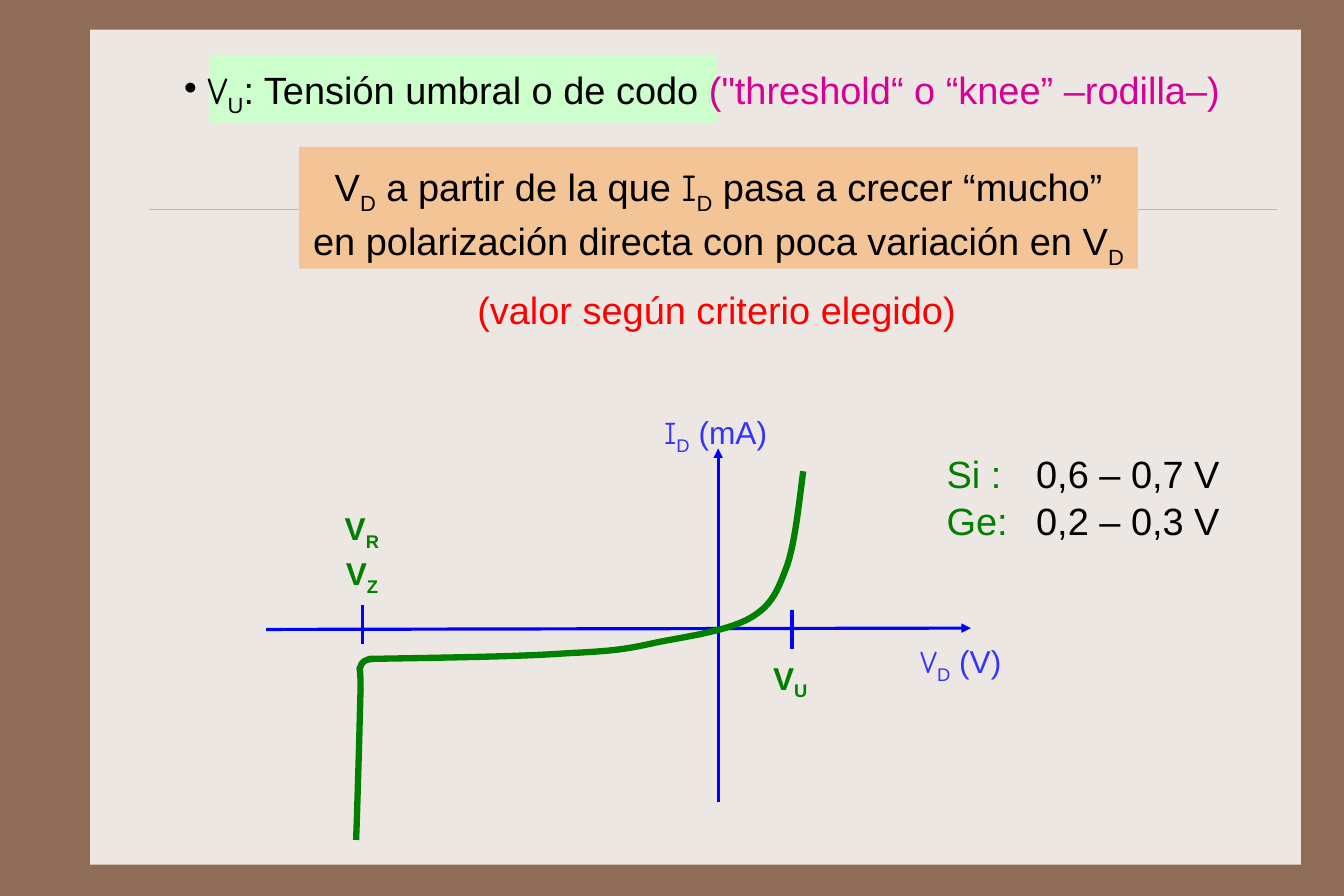
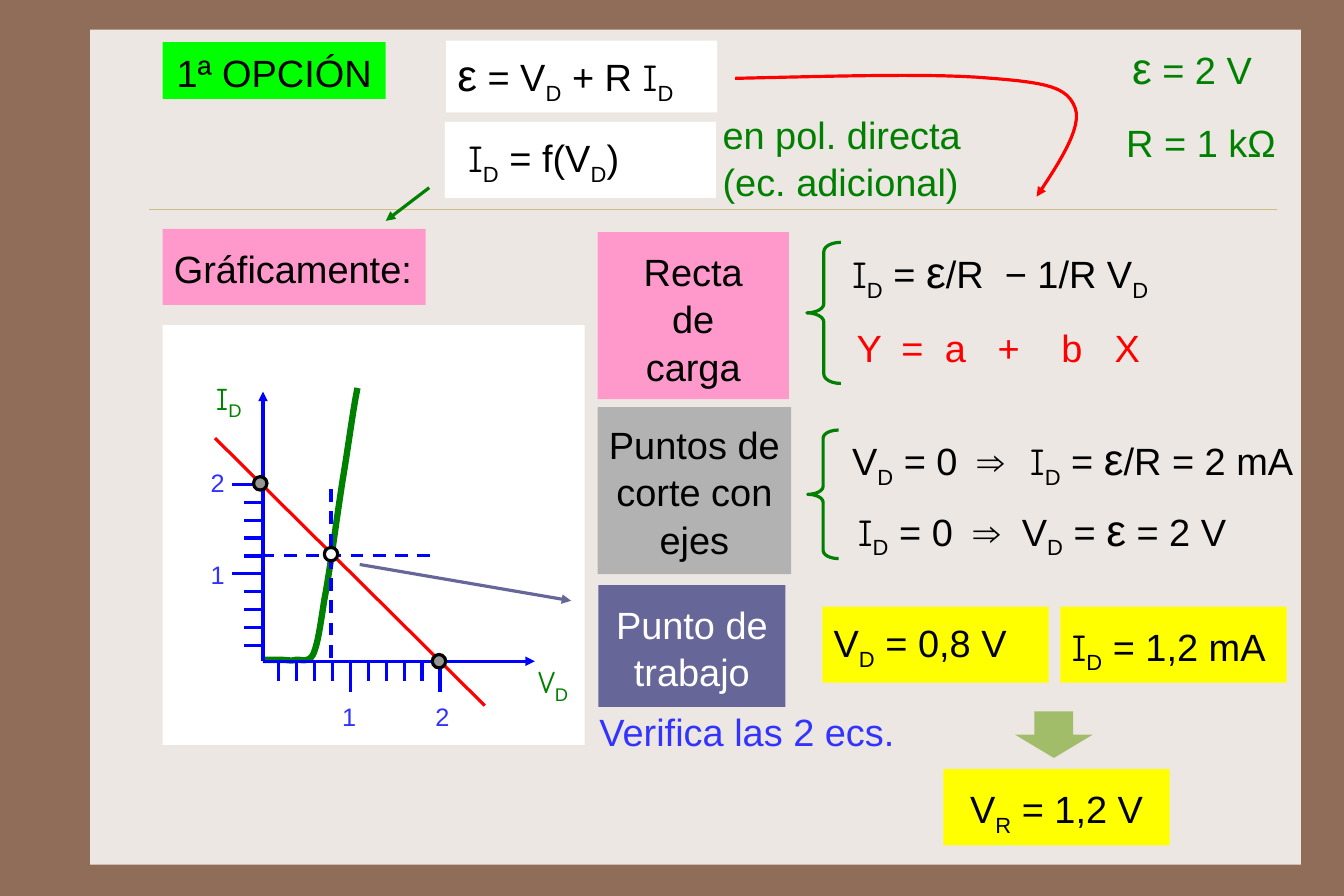
"""Build two slides on the diode curve and its load line."""

from itertools import groupby

from lxml.etree import SubElement
from pptx import Presentation
from pptx.dml.color import RGBColor
from pptx.enum.dml import MSO_LINE
from pptx.enum.shapes import MSO_CONNECTOR, MSO_SHAPE
from pptx.enum.text import MSO_ANCHOR, PP_ALIGN
from pptx.oxml.ns import qn
from pptx.util import Cm, Pt

BROWN = RGBColor(0x90, 0x6D, 0x58)
CREAM = RGBColor(0xED, 0xE7, 0xE3)
SAND = RGBColor(0xCB, 0xBD, 0x83)
MINT = RGBColor(0xCC, 0xFF, 0xCC)
PEACH = RGBColor(0xF3, 0xC4, 0x95)
MAGENTA = RGBColor(0xD6, 0x00, 0x93)
PINK = RGBColor(0xFF, 0x99, 0xCC)
RED = RGBColor(0xFF, 0x00, 0x00)
GREEN = RGBColor(0x00, 0x80, 0x00)
LIME = RGBColor(0x00, 0xFF, 0x00)
OLIVE = RGBColor(0xA1, 0xBD, 0x69)
BLUE = RGBColor(0x00, 0x00, 0xFF)
LABEL_BLUE = RGBColor(0x33, 0x33, 0xFF)
SLATE = RGBColor(0x66, 0x66, 0x99)
YELLOW = RGBColor(0xFF, 0xFF, 0x00)
SILVER = RGBColor(0xB2, 0xB2, 0xB2)
GREY = RGBColor(0x96, 0x96, 0x96)
BLACK = RGBColor(0x00, 0x00, 0x00)
WHITE = RGBColor(0xFF, 0xFF, 0xFF)

TEXT_FONT = "Arial"
SYMBOL_FONT = "Comic Neue"
MARKS = {"_": "subscript", "~": "symbol"}
INSETS = (0.25, 0.33, 0.25, 0.33)
LINE_SPACING = 1.04
CURVE_STEPS = 12


def styled_characters(text):
    """Yield (style, character); _ lowers the next character, ~ sets it in the symbol font."""
    style = "plain"
    for character in text:
        if character in MARKS:
            style = MARKS[character]
        else:
            yield ("epsilon" if character == "ε" else style), character
            style = "plain"


def add_runs(paragraph, text, colour=None):
    """Add the marked text as runs, with a colour where it differs from the paragraph."""
    for style, pairs in groupby(styled_characters(text), key=lambda pair: pair[0]):
        run = paragraph.add_run()
        run.text = "".join(character for _, character in pairs)
        if colour is not None:
            run.font.color.rgb = colour
        if style == "subscript":
            run._r.get_or_add_rPr().set("baseline", "-25000")
        elif style == "symbol":
            run.font.name = SYMBOL_FONT
        elif style == "epsilon":
            run.font.size = Pt(28)


def add_bullet(paragraph, indent):
    """Give the paragraph a round bullet with a hanging indent."""
    properties = paragraph._p.get_or_add_pPr()
    properties.set("marL", str(Cm(indent)))
    properties.set("indent", str(-Cm(indent)))
    SubElement(properties, qn("a:buChar")).set("char", "•")


def add_tabs(paragraph, positions):
    """Set left tab stops at the given positions."""
    tab_list = SubElement(paragraph._p.get_or_add_pPr(), qn("a:tabLst"))
    for position in positions:
        tab = SubElement(tab_list, qn("a:tab"))
        tab.set("pos", str(Cm(position)))
        tab.set("algn", "l")


def add_preset(slide, kind, box, fill=None, line=None):
    """Add a preset shape without shadow."""
    shape = slide.shapes.add_shape(kind, *map(Cm, box))
    shape.shadow.inherit = False
    if fill is None:
        shape.fill.background()
    else:
        shape.fill.solid()
        shape.fill.fore_color.rgb = fill
    if line is None:
        shape.line.fill.background()
    else:
        shape.line.color.rgb = line
        shape.line.width = Pt(2)
    return shape


def add_text(slide, box, text, colours=(BLACK,), size=24, fill=None, align=PP_ALIGN.LEFT,
             anchor=MSO_ANCHOR.TOP, bold=False, insets=INSETS, tabs=(), bullet=None):
    """Add a text box or filled box; lines are paragraphs and | moves to the next colour."""
    if fill is None:
        shape = slide.shapes.add_textbox(*map(Cm, box))
    else:
        shape = add_preset(slide, MSO_SHAPE.RECTANGLE, box, fill)
    frame = shape.text_frame
    frame.word_wrap = True
    frame.vertical_anchor = anchor
    (frame.margin_left, frame.margin_top,
     frame.margin_right, frame.margin_bottom) = map(Cm, insets)
    for index, line in enumerate(text.split("\n")):
        paragraph = frame.add_paragraph() if index else frame.paragraphs[0]
        paragraph.alignment = align
        paragraph.line_spacing = LINE_SPACING
        if bullet:
            add_bullet(paragraph, bullet)
        if tabs:
            add_tabs(paragraph, tabs)
        paragraph.font.name = TEXT_FONT
        paragraph.font.size = Pt(size)
        paragraph.font.bold = bold
        paragraph.font.color.rgb = colours[0]
        for part, colour in zip(line.split("|"), (None, *colours[1:])):
            add_runs(paragraph, part, colour)


def add_arrowhead(shape):
    """Put a triangle at the end of a line."""
    SubElement(shape.line._get_or_add_ln(), qn("a:tailEnd")).set("type", "triangle")


def add_line(slide, start, end, colour=BLUE, width=2, arrow=False, dashed=False):
    """Add a straight connector without shadow."""
    line = slide.shapes.add_connector(MSO_CONNECTOR.STRAIGHT, *map(Cm, (*start, *end)))
    line.line.color.rgb = colour
    line.line.width = Pt(width)
    if dashed:
        line.line.dash_style = MSO_LINE.DASH
    if arrow:
        add_arrowhead(line)
    SubElement(line._element.spPr, qn("a:effectLst"))


def bezier_point(points, t):
    """Return the point at t of a cubic Bezier curve, in slide units."""
    weights = ((1 - t) ** 3, 3 * t * (1 - t) ** 2, 3 * t ** 2 * (1 - t), t ** 3)
    return tuple(Cm(sum(weight * point[axis] for weight, point in zip(weights, points)))
                 for axis in (0, 1))


def add_curve(slide, points, colour=GREEN, width=4, arrow=False):
    """Draw joined cubic Bezier curves; each takes three points after the first."""
    outline = [bezier_point(points[first:first + 4], step / CURVE_STEPS)
               for first in range(0, len(points) - 1, 3)
               for step in range(1, CURVE_STEPS + 1)]
    builder = slide.shapes.build_freeform(*map(Cm, points[0]))
    builder.add_line_segments(outline, close=False)
    curve = builder.convert_to_shape()
    curve.shadow.inherit = False
    curve.fill.background()
    curve.line.color.rgb = colour
    curve.line.width = Pt(width)
    if arrow:
        add_arrowhead(curve)


def add_label(slide, left, top, text, colour=GREEN, width=1.3, **options):
    """Add a small axis label."""
    add_text(slide, (left, top, width, 1.5), text, (colour,), 20, **options)


def add_dot(slide, centre_x, centre_y, fill):
    """Mark a point of the graph."""
    add_preset(slide, MSO_SHAPE.OVAL, (centre_x - 0.15, centre_y - 0.15, 0.3, 0.3), fill, BLACK)


def add_brace(slide, box, depth):
    """Add a green left brace."""
    add_preset(slide, MSO_SHAPE.LEFT_BRACE, box, line=GREEN).adjustments[0] = depth


def add_framed_slide(presentation):
    """Add a blank slide with the shared panel and rule."""
    slide = presentation.slides.add_slide(presentation.slide_layouts[6])
    add_preset(slide, MSO_SHAPE.RECTANGLE, (2.01, 0.66, 27.03, 18.64), CREAM)
    add_line(slide, (3.33, 4.67), (28.5, 4.67), SAND, 0.25)
    return slide


def build_threshold_slide(presentation):
    """Define the threshold voltage and show the diode curve."""
    slide = add_framed_slide(presentation)
    centre = PP_ALIGN.CENTER
    add_preset(slide, MSO_SHAPE.RECTANGLE, (4.67, 1.22, 11.33, 1.52), MINT)
    add_text(slide, (3.86, 1.19, 24.43, 1.7),
             "~V_U: Tensión umbral o de codo |(\"threshold“ o “knee” –rodilla–)",
             (BLACK, MAGENTA), anchor=MSO_ANCHOR.MIDDLE, bullet=0.52)
    add_text(slide, (20.88, 9.68, 7.2, 2.5), "Si :\t|0,6 – 0,7 V\nGe:\t|0,2 – 0,3 V",
             (GREEN, BLACK), tabs=(2,))
    add_text(slide, (6.68, 3.28, 18.72, 2.72),
             "V_D a partir de la que ~I_D pasa a crecer “mucho” "
             "en polarización directa con poca variación en V_D", fill=PEACH, align=centre)
    add_text(slide, (10.13, 6.02, 11.73, 1.7), "(valor según criterio elegido)", (RED,),
             align=centre)

    add_line(slide, (16.03, 17.91), (16.03, 10.01), arrow=True)
    add_line(slide, (5.94, 14.05), (21.67, 14.02), arrow=True)
    add_label(slide, 14.5, 8.84, "~I_D (mA)", LABEL_BLUE, 2.95, align=centre)
    add_label(slide, 20.24, 13.97, "~V_D (V)", LABEL_BLUE, 2.41, align=centre)
    add_curve(slide, [(17.93, 10.52), (17.83, 11.28), (17.75, 12.07), (17.58, 12.6),
                      (17.37, 13.16), (17.25, 13.49), (16.79, 13.77),
                      (16.31, 14.07), (15.39, 14.2), (14.71, 14.33),
                      (14.02, 14.48), (13.79, 14.53), (12.7, 14.58),
                      (11.63, 14.66), (9.91, 14.68), (8.2, 14.71)])
    add_curve(slide, [(8.28, 14.71), (8.18, 14.73), (8.08, 14.76), (8.05, 14.88),
                      (8, 14.99), (8.05, 14.76), (8.05, 15.39),
                      (8.03, 16.05), (8, 17.4), (7.95, 18.75)])
    for x, top in ((17.68, 13.61), (8.1, 13.51)):
        add_line(slide, (x, top), (x, top + 0.87))
    for left, top, text in ((16.99, 14.33, "V_U"), (7.43, 11.99, "V_Z"), (7.43, 11, "V_R")):
        add_label(slide, left, top, text, align=centre, bold=True)


def draw_load_line_graph(slide):
    """Draw the diode curve, the load line and the working point."""
    origin_x, origin_y = 5.87, 14.76
    add_preset(slide, MSO_SHAPE.RECTANGLE, (3.63, 7.26, 9.42, 9.37), WHITE)
    add_label(slide, 4.57, 8.08, "~I_D")
    add_label(slide, 11.76, 14.4, "~V_D")
    add_curve(slide, [(5.87, 14.73), (6.02, 14.73), (6.17, 14.73), (6.3, 14.73),
                      (6.43, 14.73), (6.48, 14.76), (6.6, 14.73),
                      (6.71, 14.71), (6.88, 14.81), (6.99, 14.61),
                      (7.09, 14.38), (7.14, 14.05), (7.24, 13.39),
                      (7.37, 12.73), (7.54, 11.38), (7.67, 10.59),
                      (7.8, 9.8), (7.87, 9.22), (7.98, 8.66)])
    add_line(slide, (origin_x, origin_y), (origin_x, 8.74), arrow=True)
    add_line(slide, (origin_x, origin_y), (11.94, origin_y), arrow=True)
    for tick in range(1, 11):
        length = 0.43 if tick % 5 else 0.69
        x, y = 5.82 + 0.4 * tick, 14.81 - 0.4 * tick
        add_line(slide, (x, origin_y), (x, origin_y + length))
        add_line(slide, (origin_x, y), (origin_x - length, y))
    for left, top, text in ((4.45, 10.08, "2"), (4.45, 12.12, "1"),
                            (7.39, 15.3, "1"), (9.47, 15.3, "2")):
        add_text(slide, (left, top, 0.9, 1.35), text, (LABEL_BLUE,), 16)
    add_line(slide, (4.8, 9.78), (10.82, 15.75), RED)
    add_line(slide, (7.39, 14.68), (7.39, 10.77), dashed=True)
    add_line(slide, (5.84, 12.4), (9.75, 12.4), dashed=True)
    for x, y, fill in ((5.81, 10.79, GREY), (9.8, 14.76, GREY), (7.39, 12.37, WHITE)):
        add_dot(slide, x, y, fill)
    add_line(slide, (8.03, 12.6), (12.75, 13.41), SLATE, arrow=True)


def build_load_line_slide(presentation):
    """Solve the circuit graphically with the load line."""
    slide = add_framed_slide(presentation)
    centre, middle = PP_ALIGN.CENTER, MSO_ANCHOR.MIDDLE
    draw_load_line_graph(slide)

    add_text(slide, (3.63, 0.94, 4.98, 1.27), "1ª OPCIÓN", fill=LIME, align=centre,
             insets=(0.25, 0.13, 0.25, 0.13))
    add_text(slide, (9.96, 0.91, 6.05, 1.6), "ε = V_D + R ~I_D", fill=WHITE,
             insets=(0.25, 0.1, 0.25, 0.3))
    add_text(slide, (9.93, 2.72, 6.05, 1.7), "~I_D = f(V_D)", fill=WHITE, anchor=middle,
             insets=(0.52, 0.33, 0.25, 0.33))
    add_text(slide, (15.88, 2.11, 6.35, 2.72), "en pol. directa (ec. adicional)", (GREEN,))
    add_text(slide, (25.02, 0.53, 3.5, 1.85), "ε = 2 V", (GREEN,))
    add_text(slide, (24.89, 2.31, 4.1, 1.7), "R = 1 kΩ", (GREEN,))
    add_curve(slide, [(16.41, 1.75), (18.64, 1.7), (20.88, 1.63), (22.15, 1.75),
                      (23.42, 1.85), (23.83, 1.96), (24, 2.41),
                      (24.16, 2.84), (23.65, 3.63), (23.14, 4.39)], RED, 2, arrow=True)
    add_line(slide, (9.58, 4.19), (8.61, 4.93), GREEN, arrow=True)

    add_text(slide, (3.63, 5.11, 5.87, 1.7), "Gráficamente:", fill=PINK)
    add_text(slide, (13.34, 5.18, 4.27, 3.73), "Recta\nde\ncarga", fill=PINK, align=centre)
    add_text(slide, (13.34, 9.09, 4.32, 3.73), "Puntos de\ncorte con ejes", fill=SILVER,
             align=centre, anchor=middle)
    add_text(slide, (13.36, 13.06, 4.17, 2.72), "Punto de trabajo", (WHITE,), fill=SLATE,
             align=centre)
    add_text(slide, (13.13, 15.44, 7.4, 1.7), "Verifica las 2 ecs.", (LABEL_BLUE,))

    add_brace(slide, (18.01, 5.41, 0.76, 3.15), 0.27)
    add_brace(slide, (18.03, 9.6, 0.69, 2.87), 0.26)
    add_text(slide, (18.77, 5.08, 7.8, 1.85), "~I_D = ε/R\t− 1/R V_D", tabs=(3.41,))
    add_text(slide, (18.87, 6.88, 6.9, 1.7), "Y\t=\ta\t+\tb\tX", (RED,),
             tabs=(1, 1.97, 3.15, 4.57, 5.76))
    add_text(slide, (18.77, 9.25, 10.9, 1.85), "V_D = 0\t⇒\t~I_D = ε/R = 2 mA", tabs=(2.81, 3.97))
    add_text(slide, (18.9, 10.82, 9.25, 1.85), "~I_D = 0\t⇒\tV_D = ε = 2 V", tabs=(2.57, 3.66))

    add_text(slide, (18.36, 13.54, 5.05, 1.7), "V_D = 0,8 V", fill=YELLOW, anchor=middle)
    add_text(slide, (23.67, 13.54, 5.05, 1.7), "~I_D = 1,2 mA", fill=YELLOW)
    add_preset(slide, MSO_SHAPE.DOWN_ARROW, (22.66, 15.88, 1.73, 1.04), OLIVE)
    add_text(slide, (21.06, 17.17, 5.05, 1.7), "V_R = 1,2 V", fill=YELLOW, align=centre)


def main():
    """Build and save the presentation."""
    presentation = Presentation()
    presentation.slide_width, presentation.slide_height = Cm(30), Cm(20)
    background = presentation.slide_master.background.fill
    background.solid()
    background.fore_color.rgb = BROWN
    build_threshold_slide(presentation)
    build_load_line_slide(presentation)
    presentation.save("out.pptx")


if __name__ == "__main__":
    main()
